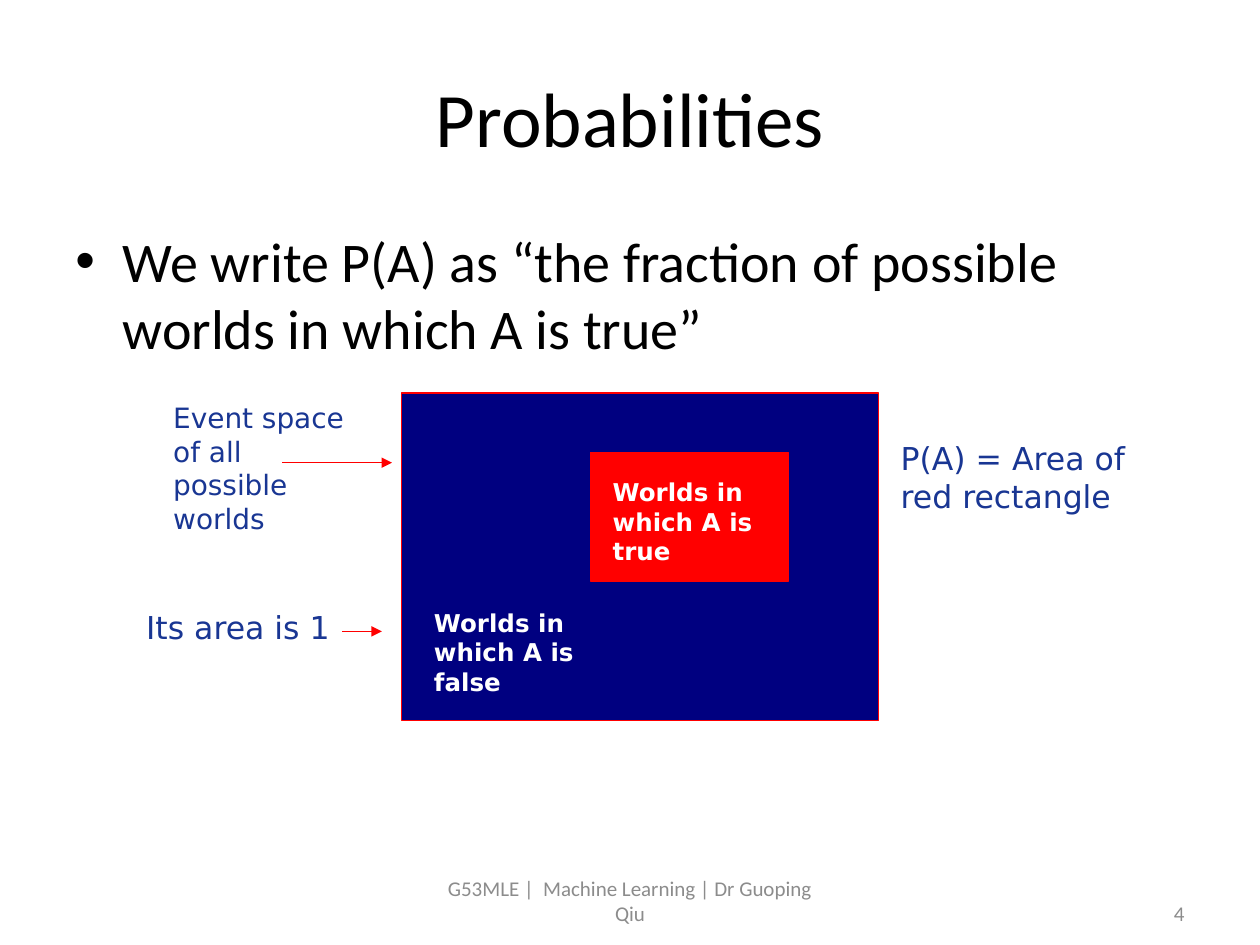
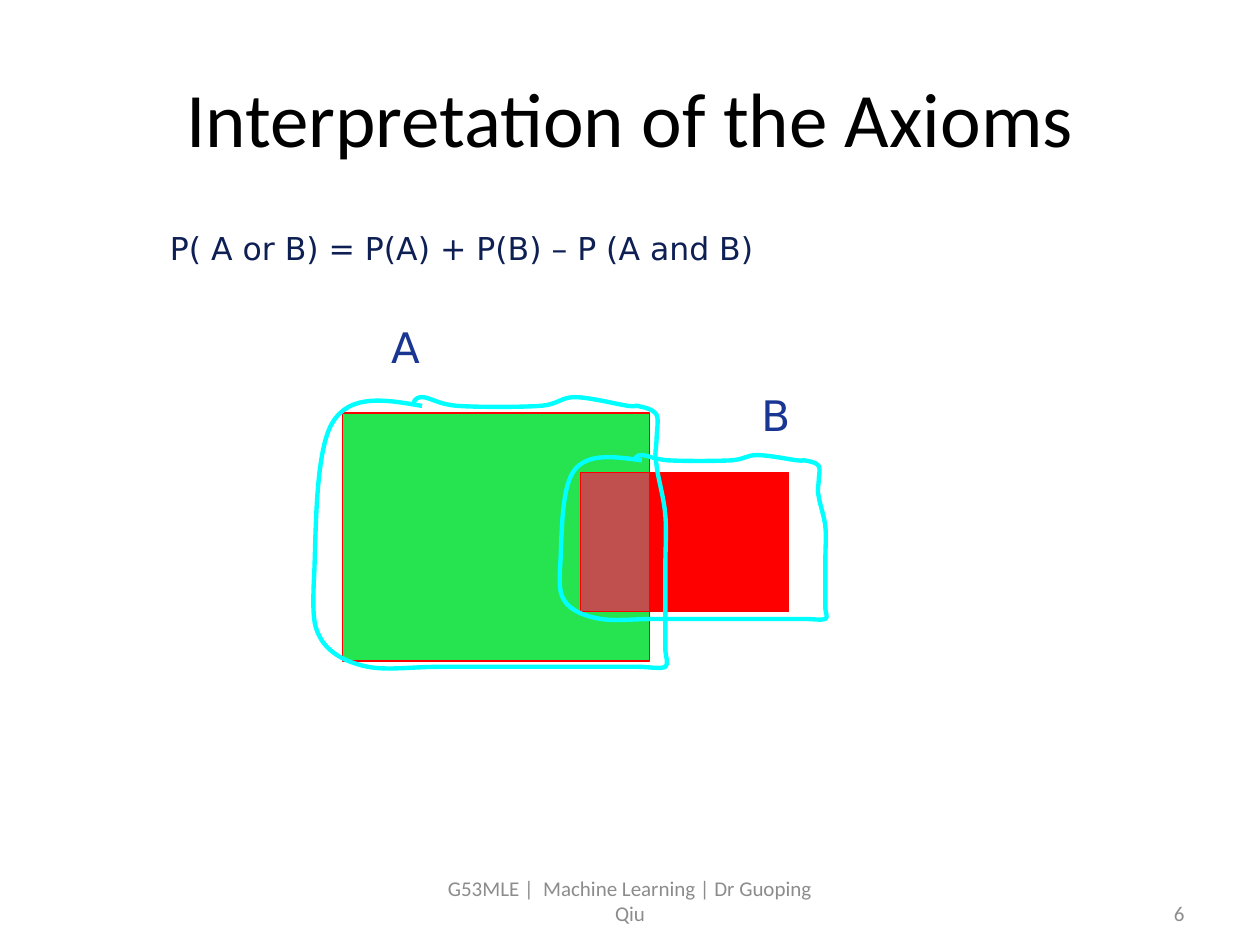
from lxml import etree
from pptx import Presentation
from pptx.dml.color import RGBColor
from pptx.enum.shapes import MSO_CONNECTOR as Conn, MSO_SHAPE as Shape
from pptx.enum.text import MSO_ANCHOR as Anchor, PP_ALIGN as Align
from pptx.oxml.ns import qn
from pptx.util import Pt

BLACK = RGBColor(0x00, 0x00, 0x00)
WHITE = RGBColor(0xFF, 0xFF, 0xFF)
GREY = RGBColor(0x8C, 0x8C, 0x8C)
NAVY = RGBColor(0x00, 0x00, 0x80)
BLUE = RGBColor(0x19, 0x36, 0x93)
DARK_BLUE = RGBColor(0x0E, 0x1F, 0x54)
RED = RGBColor(0xFF, 0x00, 0x00)
GREEN = RGBColor(0x26, 0xE4, 0x4F)
BRICK = RGBColor(0xC0, 0x50, 0x4D)
CYAN = RGBColor(0x00, 0xFF, 0xFF)

SANS, DEJAVU = "Calibri", "DejaVu Sans"
FORMATS = {
    "title": {"name": SANS, "size": Pt(44), "color": BLACK},
    "body": {"name": SANS, "size": Pt(32), "color": BLACK},
    "footer": {"name": SANS, "size": Pt(12), "color": GREY},
    "world": {"name": DEJAVU, "size": Pt(14), "bold": True, "color": WHITE},
    "note": {"name": DEJAVU, "size": Pt(16), "color": BLUE},
    "label": {"name": DEJAVU, "size": Pt(18), "color": BLUE},
    "axiom": {"name": DEJAVU, "size": Pt(18), "color": DARK_BLUE},
    "event": {"name": DEJAVU, "size": Pt(24), "color": BLUE},
}
FOOTER = "G53MLE |  Machine Learning | Dr Guoping Qiu"

LOOP_GRID = (283, 220)
LOOP_START = (87, 10)
LOOP_CURVES = [
    ((58, 5), (30, 0), (16, 23)),
    ((1, 47), (3, 121), (1, 150)),
    ((0, 179), (1, 186), (8, 197)),
    ((16, 208), (29, 214), (44, 217)),
    ((60, 220), (79, 217), (101, 217)),
    ((124, 217), (158, 217), (180, 217)),
    ((201, 217), (217, 217), (230, 217)),
    ((243, 217), (250, 217), (258, 217)),
    ((267, 217), (276, 219), (280, 217)),
    ((283, 215), (280, 208), (280, 204)),
    ((280, 199), (280, 194), (280, 190)),
    ((280, 187), (280, 192), (280, 184)),
    ((280, 175), (280, 151), (280, 137)),
    ((280, 123), (281, 110), (280, 97)),
    ((279, 83), (274, 67), (273, 57)),
    ((271, 47), (273, 43), (273, 37)),
    ((273, 30), (275, 21), (273, 17)),
    ((270, 12), (262, 11), (258, 10)),
    ((255, 9), (259, 11), (251, 10)),
    ((243, 9), (220, 3), (208, 3)),
    ((197, 3), (195, 9), (180, 10)),
    ((164, 11), (131, 11), (116, 10)),
    ((100, 9), (93, 3), (87, 3)),
    ((81, 3), (80, 7), (80, 10)),
]


class Deck:
    """Hold the presentation, its style and the current slide."""

    def __init__(self):
        self.prs = Presentation()
        self.prs.slide_width, self.prs.slide_height = Pt(720), Pt(540)

    def slide(self, title, number):
        """Start a slide with its title, footer and number."""
        self.s = self.prs.slides.add_slide(self.prs.slide_layouts[6])
        self.text(title, (36, 21.6, 648, 90), "title", Align.CENTER, Anchor.MIDDLE)
        self.text(FOOTER, (246, 500.4, 228, 28.8), "footer", Align.CENTER, Anchor.MIDDLE)
        self.text(str(number), (516, 507.6, 168, 28.8), "footer", Align.RIGHT, Anchor.MIDDLE)

    def text(self, text, box, style, align=Align.LEFT, anchor=Anchor.TOP, wrap=True):
        """Add a text box with one paragraph per line of text."""
        sp = self.s.shapes.add_textbox(*map(Pt, box))
        tf = sp.text_frame
        tf.word_wrap, tf.vertical_anchor = wrap, anchor
        for i, line in enumerate(text.split("\n")):
            p = tf.add_paragraph() if i else tf.paragraphs[0]
            p.alignment = align
            r = p.add_run()
            r.text = line
            for key, value in FORMATS[style].items():
                if key == "color":
                    r.font.color.rgb = value
                else:
                    setattr(r.font, key, value)
        return sp

    def bullet(self, text, box):
        """Add a body text with a hanging bullet."""
        p = self.text(text, box, "body").text_frame.paragraphs[0]
        pPr = p._p.get_or_add_pPr()
        pPr.set("marL", str(Pt(27)))
        pPr.set("indent", str(-Pt(27)))
        before = etree.SubElement(pPr, qn("a:spcBef"))
        etree.SubElement(before, qn("a:spcPct")).set("val", "20000")
        etree.SubElement(pPr, qn("a:buFont")).set("typeface", "Arial")
        etree.SubElement(pPr, qn("a:buChar")).set("char", "•")

    def rect(self, box, fill):
        """Add a filled rectangle with a thin red outline."""
        sp = self.s.shapes.add_shape(Shape.RECTANGLE, *map(Pt, box))
        sp.shadow.inherit = False
        sp.fill.solid()
        sp.fill.fore_color.rgb = fill
        sp.line.color.rgb, sp.line.width = RED, Pt(0.75)

    def arrow(self, x1, x2, y):
        """Add a horizontal red arrow."""
        c = self.s.shapes.add_connector(Conn.STRAIGHT, Pt(x1), Pt(y), Pt(x2), Pt(y))
        c.line.color.rgb, c.line.width = RED, Pt(0.75)
        spPr = c.element.spPr
        etree.SubElement(spPr.find(qn("a:ln")), qn("a:tailEnd")).set("type", "triangle")
        etree.SubElement(spPr, qn("a:effectLst"))

    def loop(self, box):
        """Add the hand-drawn cyan loop, stretched to the box."""
        x, y, w, h = box

        def place(pt):
            return (Pt(x + pt[0] * w / LOOP_GRID[0]), Pt(y + pt[1] * h / LOOP_GRID[1]))

        fb = self.s.shapes.build_freeform(*place(LOOP_START))
        fb.add_line_segments([place(curve[-1]) for curve in LOOP_CURVES], close=False)
        sp = fb.convert_to_shape()
        sp.shadow.inherit = False
        sp.fill.background()
        sp.line.color.rgb, sp.line.width = CYAN, Pt(2.5)
        for line, curve in zip(list(sp.element.iter(qn("a:lnTo"))), LOOP_CURVES):
            cubic = etree.Element(qn("a:cubicBezTo"))
            for px, py in map(place, curve):
                pt = etree.SubElement(cubic, qn("a:pt"))
                pt.set("x", str(px - sp.left))
                pt.set("y", str(py - sp.top))
            line.getparent().replace(line, cubic)


def probabilities(deck):
    """Build the slide on the event space."""
    deck.slide("Probabilities", 4)
    deck.bullet("We write P(A) as “the fraction of possible worlds in which A is true”",
                (36, 126, 648, 356.4))
    deck.rect((229.6, 224.6, 272.4, 187), NAVY)
    deck.rect((337.6, 258.5, 113, 73.5), RED)
    deck.text("Worlds in which A is true", (343, 269.3, 126, 57.6), "world")
    deck.text("Worlds in which A is false", (240.9, 343.8, 126, 57.6), "world")
    deck.text("Event space of all possible worlds", (91.9, 225.4, 121, 84.2), "note")
    deck.text("P(A) = Area of\nred rectangle", (507.6, 247.4, 193, 50.4), "label")
    deck.text("Its area is 1", (76.5, 343.9, 124, 28.8), "label", wrap=False)
    deck.arrow(161.3, 224, 264.4)
    deck.arrow(195.6, 218.2, 360.8)


def axioms(deck):
    """Build the slide on two overlapping events."""
    deck.slide("Interpretation of the Axioms", 6)
    deck.text("P( A or B) = P(A) + P(B) – P (A and B)", (90, 127.6, 576, 30), "axiom")
    deck.rect((195.8, 236, 175.5, 141.7), GREEN)
    deck.rect((331.7, 270, 39.6, 79.3), BRICK)
    deck.rect((371.3, 270, 79.2, 79.3), RED)
    for name, label_at, loop_box in (
            ("A", (216.5, 180), (178.6, 224.8, 203.8, 158.4)),
            ("B", (428, 218.9), (319.5, 258.7, 153.8, 96.3))):
        deck.loop(loop_box)
        deck.text(name, (*label_at, 31, 36), "event", wrap=False)


def main():
    """Build and save the slides."""
    deck = Deck()
    probabilities(deck)
    axioms(deck)
    deck.prs.save("out.pptx")


if __name__ == "__main__":
    main()
